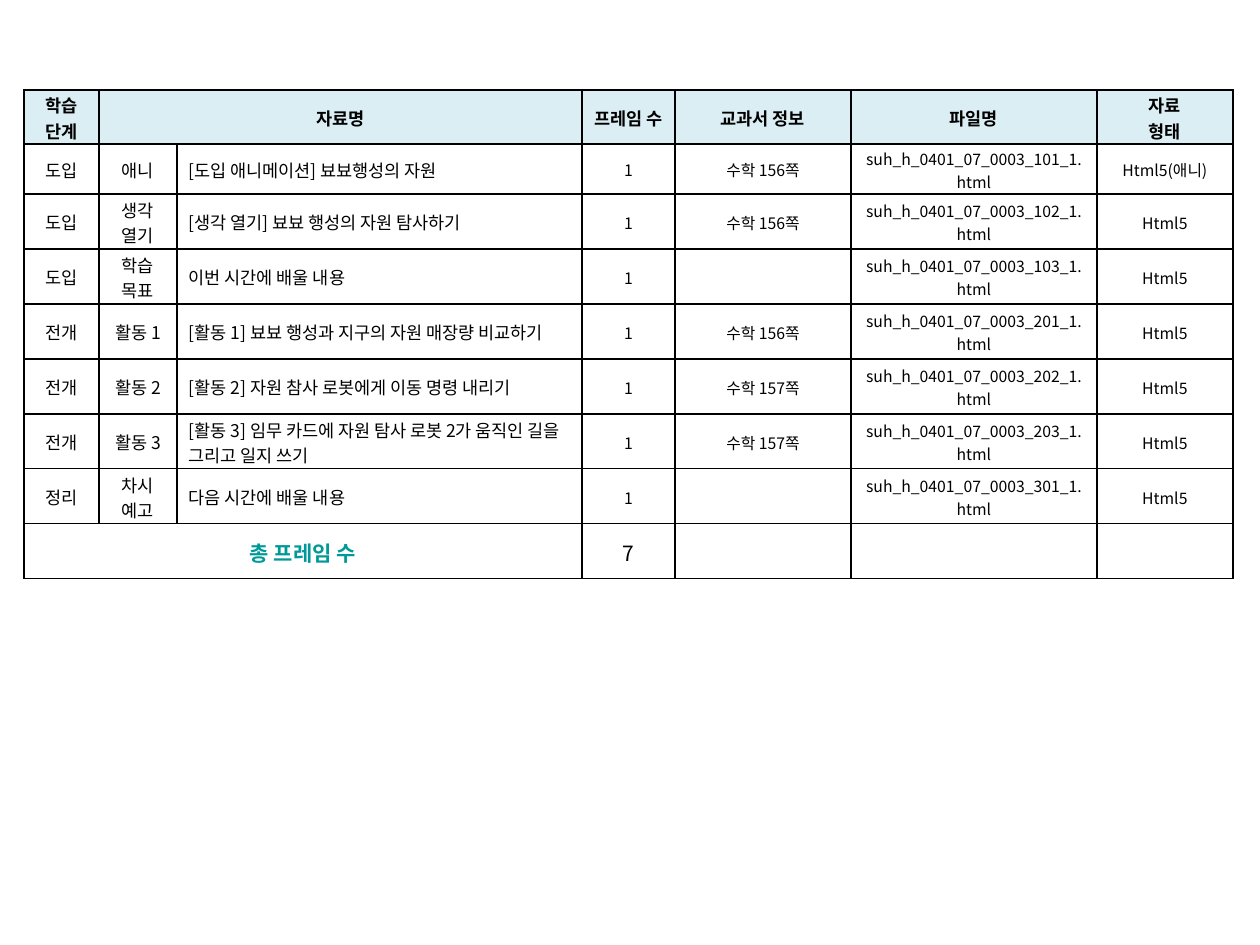
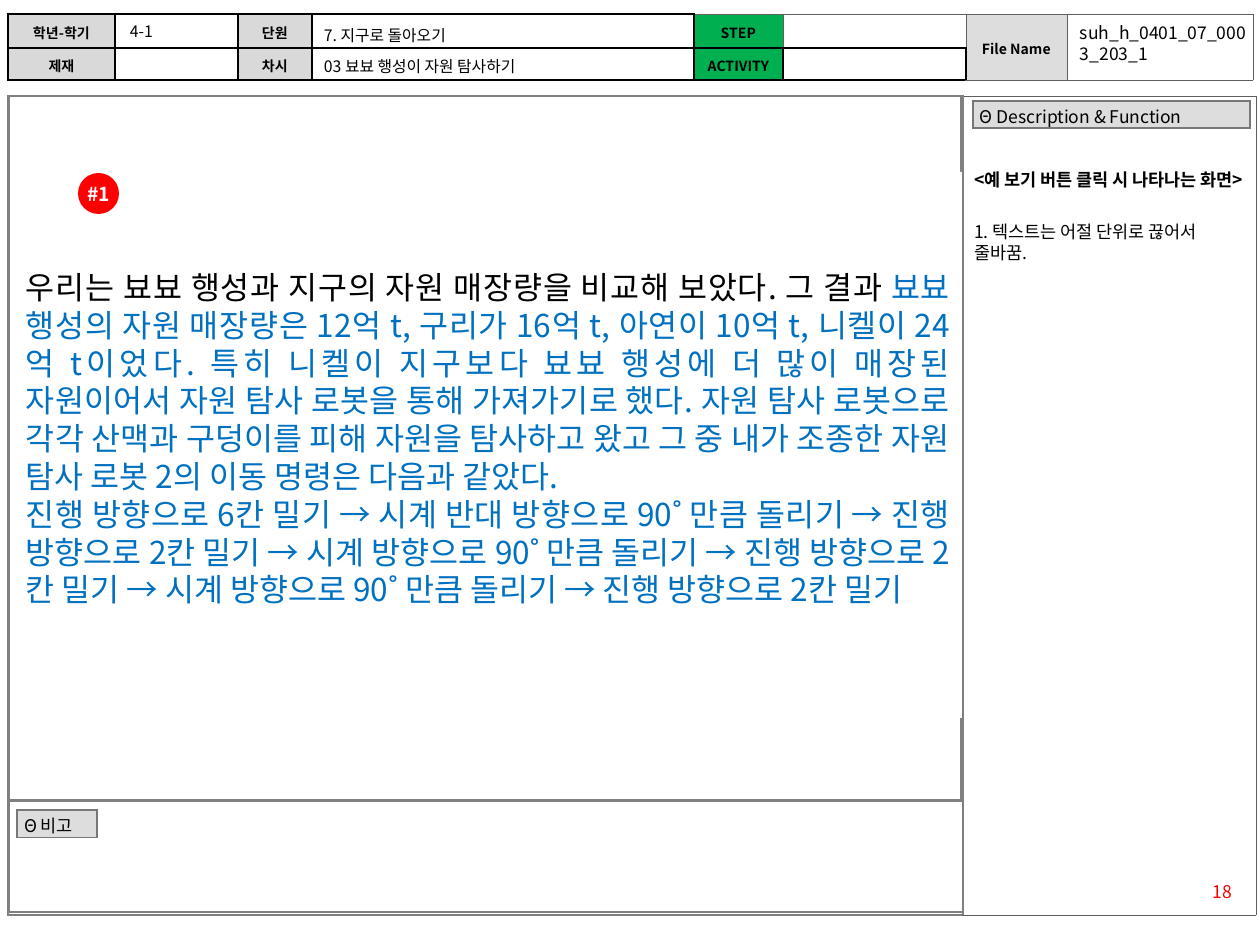
import dataclasses
import lxml.etree
import pptx
import pptx.dml.color
import pptx.enum.shapes
import pptx.enum.text
import pptx.oxml.ns
import pptx.util

ALIGN = pptx.enum.text.PP_ALIGN
ANCHOR = pptx.enum.text.MSO_ANCHOR
SHAPE = pptx.enum.shapes.MSO_SHAPE
DPI = 126


@dataclasses.dataclass(frozen=True)
class Theme:
    font: str = "Noto Sans CJK KR"
    black: str = "000000"
    white: str = "FFFFFF"
    blue: str = "0070C0"
    teal: str = "009999"
    red: str = "FF0000"
    green: str = "00B050"
    sky: str = "DBEEF4"
    gray: str = "D9D9D9"
    pale: str = "DDDDDD"
    frame: str = "808080"
    edge: str = "777777"
    thin: str = "5F5F5F"
    tag: float = 8
    small: float = 9
    base: float = 10
    badge: float = 11
    total: float = 12
    story: float = 18


THEME = Theme()


@dataclasses.dataclass(frozen=True)
class Cell:
    text: str = ""
    size: float = THEME.base
    bold: bool = False
    color: str = THEME.black
    fill: str = ""
    align: int = ALIGN.CENTER
    line: tuple = (THEME.black, 1)
    sides: tuple = ()
    span: tuple = (1, 1)


def px(num):
    return pptx.util.Emu(round(num * 914400 / DPI))


def rgb(code):
    return pptx.dml.color.RGBColor.from_string(code)


def put(para, text, size, color=THEME.black, bold=False):
    run = para.add_run()
    run.text = text
    font = run.font
    font.size = pptx.util.Pt(size)
    font.bold = bold
    font.color.rgb = rgb(color)
    font.name = THEME.font
    lxml.etree.SubElement(run._r.get_or_add_rPr(), pptx.oxml.ns.qn("a:ea"),
                          typeface=THEME.font)


def rule(cell, side, color, width):
    qn = pptx.oxml.ns.qn
    line = lxml.etree.SubElement(cell._tc.get_or_add_tcPr(), qn("a:ln" + side),
                                 w=str(pptx.util.Pt(width)))
    fill = lxml.etree.SubElement(line, qn("a:solidFill"))
    lxml.etree.SubElement(fill, qn("a:srgbClr"), val=color)


def dress(cell, item, pad):
    cell.margin_left = cell.margin_right = px(pad)
    cell.margin_top, cell.margin_bottom = px(2), 0
    cell.vertical_anchor = ANCHOR.MIDDLE
    sides = dict(item.sides)
    for side in "LRTB":
        rule(cell, side, *sides.get(side, item.line))
    if item.fill:
        cell.fill.solid()
        cell.fill.fore_color.rgb = rgb(item.fill)
    else:
        cell.fill.background()
    frame = cell.text_frame
    for num, text in enumerate(item.text.split("\n")):
        para = frame.add_paragraph() if num else frame.paragraphs[0]
        para.alignment = item.align
        if text:
            put(para, text, item.size, item.color, item.bold)
        else:
            lxml.etree.SubElement(para._p, pptx.oxml.ns.qn("a:endParaRPr"),
                                  sz=str(round(item.size * 100)))


def grid(slide, left, top, cols, rows, cells, pad=12):
    table = slide.shapes.add_table(len(rows), len(cols), px(left), px(top),
                                   px(sum(cols)), px(sum(rows))).table
    table.first_row = table.horz_banding = False
    for col, width in zip(table.columns, cols):
        col.width = px(width)
    for row, height in zip(table.rows, rows):
        row.height = px(height)
    for y, line in enumerate(cells):
        for x, item in enumerate(line):
            if item is None:
                continue
            down, wide = item.span
            if item.span != (1, 1):
                table.cell(y, x).merge(table.cell(y + down - 1, x + wide - 1))
            for j in range(down):
                for i in range(wide):
                    part = item if i == j == 0 else dataclasses.replace(item, text="")
                    dress(table.cell(y + j, x + i), part, pad)


def write(frame, paras, size, align, gap=0):
    frame.word_wrap = True
    for num, runs in enumerate(paras):
        para = frame.add_paragraph() if num else frame.paragraphs[0]
        para.alignment = align
        para.line_spacing = pptx.util.Pt(size * 1.2)
        if num and gap:
            para.space_before = pptx.util.Pt(gap)
        for text, color, bold in runs:
            put(para, text, size, color, bold)


def note(slide, box, paras, size=THEME.base, align=ALIGN.LEFT, gap=0):
    frame = slide.shapes.add_textbox(*map(px, box)).text_frame
    frame.margin_left = frame.margin_right = px(12)
    frame.margin_top = frame.margin_bottom = px(6)
    write(frame, paras, size, align, gap)


def plain(text, color=THEME.black, bold=False):
    return [(text, color, bold)]


def form(slide, kind, box, fill, line=None):
    shape = slide.shapes.add_shape(kind, *map(px, box))
    shape.shadow.inherit = False
    shape.fill.solid()
    shape.fill.fore_color.rgb = rgb(fill)
    if line:
        shape.line.color.rgb = rgb(line)
        shape.line.width = pptx.util.Pt(1)
    else:
        shape.line.fill.background()
    return shape


def label(slide, left, top, wide, text):
    item = Cell(text, fill=THEME.pale, align=ALIGN.LEFT, line=(THEME.edge, 1))
    grid(slide, left, top, [wide], [26], [[item]], pad=7)


def index(slide):
    def head(text, span=(1, 1)):
        return Cell(text, bold=True, fill=THEME.sky, span=span)

    data = [
        ("도입", "애니", "[도입 애니메이션] 뵤뵤행성의 자원", "수학 156쪽", 101, "Html5(애니)"),
        ("도입", "생각 열기", "[생각 열기] 뵤뵤 행성의 자원 탐사하기", "수학 156쪽", 102, "Html5"),
        ("도입", "학습 목표", "이번 시간에 배울 내용", "", 103, "Html5"),
        ("전개", "활동 1", "[활동 1] 뵤뵤 행성과 지구의 자원 매장량 비교하기", "수학 156쪽", 201, "Html5"),
        ("전개", "활동 2", "[활동 2] 자원 참사 로봇에게 이동 명령 내리기", "수학 157쪽", 202, "Html5"),
        ("전개", "활동 3", "[활동 3] 임무 카드에 자원 탐사 로봇 2가 움직인 길을 그리고 일지 쓰기",
         "수학 157쪽", 203, "Html5"),
        ("정리", "차시 예고", "다음 시간에 배울 내용", "", 301, "Html5"),
    ]
    cells = [[head("학습 단계"), head("자료명", (1, 2)), None, head("프레임 수"),
              head("교과서 정보"), head("파일명"), head("자료\n형태")]]
    for step, part, name, book, code, kind in data:
        file = f"suh_h_0401_07_0003_{code}_1.html"
        cells.append([Cell(step), Cell(part), Cell(name, align=ALIGN.LEFT)]
                     + [Cell(text, THEME.small) for text in ("1", book, file, kind)])
    cells.append([Cell("총 프레임 수", THEME.total, True, THEME.teal, span=(1, 3)),
                  None, None, Cell("7", THEME.total), Cell(), Cell(), Cell()])
    grid(slide, 24, 90, [75, 78, 405, 93, 176, 246, 136],
         [54, 50] + [55] * 7, cells)


def banner(slide):
    dark, thin = (THEME.black, 1), (THEME.thin, 0.25)

    def tag(text, fill=THEME.gray, line=dark, span=(1, 1)):
        return Cell(text, THEME.tag, True, fill=fill, line=line, span=span)

    void = tag("", "")
    open = tag("", "", thin)
    cells = [
        [tag("학년-학기"), void, tag("단원"), void, tag("STEP", THEME.green, thin), open,
         tag("File Name", THEME.pale, thin, (2, 1)), tag("", "", thin, (2, 1))],
        [tag("제재"), void, tag("차시"), void, tag("ACTIVITY", THEME.green),
         void, None, None],
    ]
    grid(slide, 8, 14, [107, 123, 74, 382, 89, 183, 101, 186], [34, 32], cells)
    note(slide, (1068, 16, 192, 55), [plain("suh_h_0401_07_0003_203_1")])
    for left, top, text in ((118, 16, "4-1"), (312, 20, "7. 지구로 돌아오기"),
                            (312, 51, "03 뵤뵤 행성이 자원 탐사하기")):
        note(slide, (left, top, 380, 30), [plain(text)], THEME.small)


def panel(slide):
    thick, thin = (THEME.frame, 1.5), (THEME.thin, 0.25)
    side = Cell(line=thin, sides=(("L", thick),))
    grid(slide, 8, 96, [955, 293], [819], [[Cell(line=thick), side]])
    grid(slide, 9, 801, [954], [111], [[Cell(line=thick)]])
    label(slide, 17, 810, 80, "Θ 비고")
    label(slide, 973, 101, 277, "Θ Description & Function")
    note(slide, (1160, 875, 84, 34), [plain("18", THEME.red)], align=ALIGN.RIGHT)


def story(slide):
    form(slide, SHAPE.RECTANGLE, (9, 96, 952, 704), THEME.white, THEME.frame)
    note(slide, (962, 163, 298, 130),
         [plain("<예 보기 버튼 클릭 시 나타나는 화면>", bold=True),
          plain("1. 텍스트는 어절 단위로 끊어서 줄바꿈.")], gap=18)
    body = form(slide, SHAPE.RECTANGLE, (14, 172, 948, 546), THEME.white)
    frame = body.text_frame
    frame.vertical_anchor = ANCHOR.TOP
    frame.margin_left = frame.margin_right = px(12)
    frame.margin_top = px(96)
    first = [
        ("우리는 뵤뵤 행성과 지구의 자원 매장량을 비교해 보았다. 그 결과 ", THEME.black, False),
        ("뵤뵤 행성의 자원 매장량은 12억 t, 구리가 16억 t, 아연이 10억 t, 니켈이 24억 t이었다. "
         "특히 니켈이 지구보다 뵤뵤 행성에 더 많이 매장된 자원이어서 자원 탐사 로봇을 통해 "
         "가져가기로 했다. 자원 탐사 로봇으로 각각 산맥과 구덩이를 피해 자원을 탐사하고 왔고 "
         "그 중 내가 조종한 자원 탐사 로봇 2의 이동 명령은 다음과 같았다.", THEME.blue, False),
    ]
    moves = ("진행 방향으로 6칸 밀기 → 시계 반대 방향으로 90˚ 만큼 돌리기 → "
             "진행 방향으로 2칸 밀기 → 시계 방향으로 90˚ 만큼 돌리기 → "
             "진행 방향으로 2칸 밀기 → 시계 방향으로 90˚ 만큼 돌리기 → "
             "진행 방향으로 2칸 밀기")
    write(frame, [first, plain(moves, THEME.blue)], THEME.story, ALIGN.JUSTIFY)


def badge(slide, left, top, size, text):
    frame = form(slide, SHAPE.OVAL, (left, top, size, size), THEME.red).text_frame
    frame.margin_left = frame.margin_right = 0
    frame.margin_top = frame.margin_bottom = 0
    frame.vertical_anchor = ANCHOR.MIDDLE
    para = frame.paragraphs[0]
    para.alignment = ALIGN.CENTER
    put(para, text, THEME.badge, THEME.white, True)


def main():
    deck = pptx.Presentation()
    deck.slide_width, deck.slide_height = px(1260), px(945)
    blank = deck.slide_layouts[6]
    index(deck.slides.add_slide(blank))
    board = deck.slides.add_slide(blank)
    panel(board)
    banner(board)
    story(board)
    badge(board, 78, 173, 41, "#1")
    deck.save("out.pptx")


if __name__ == "__main__":
    main()
